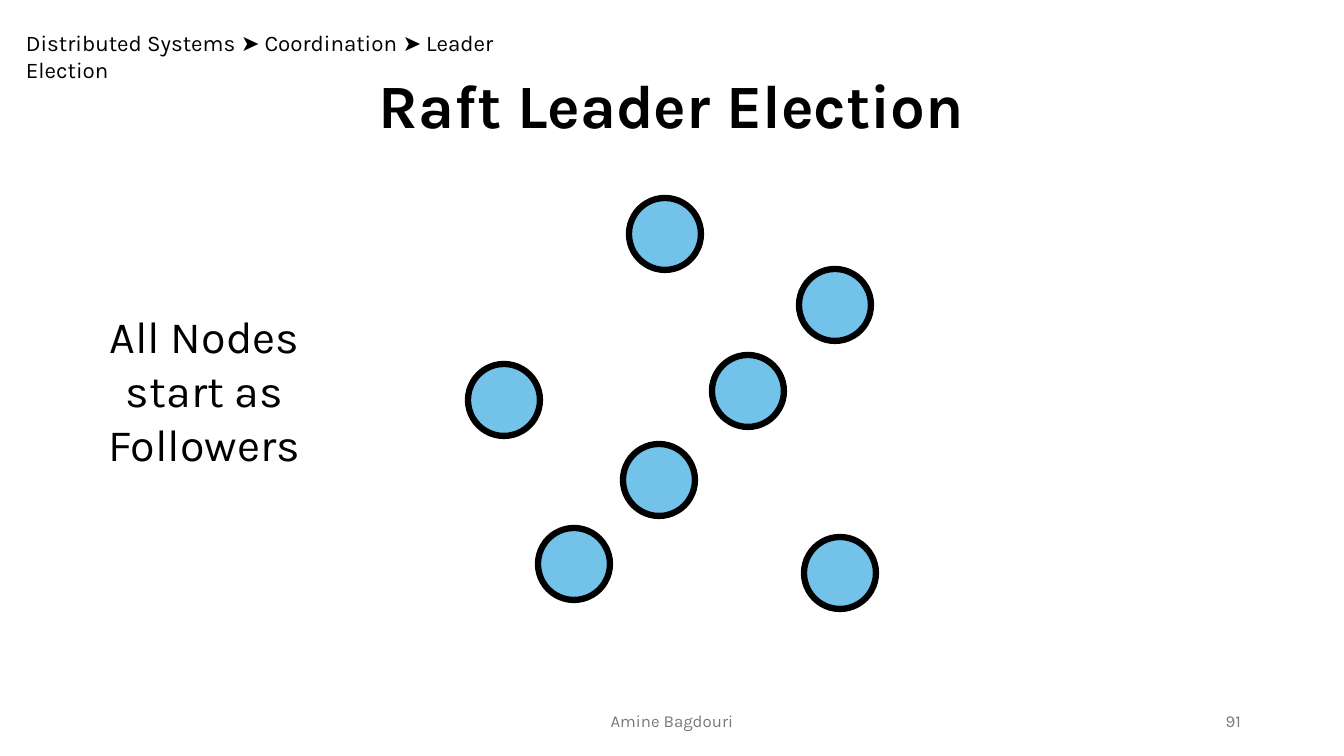
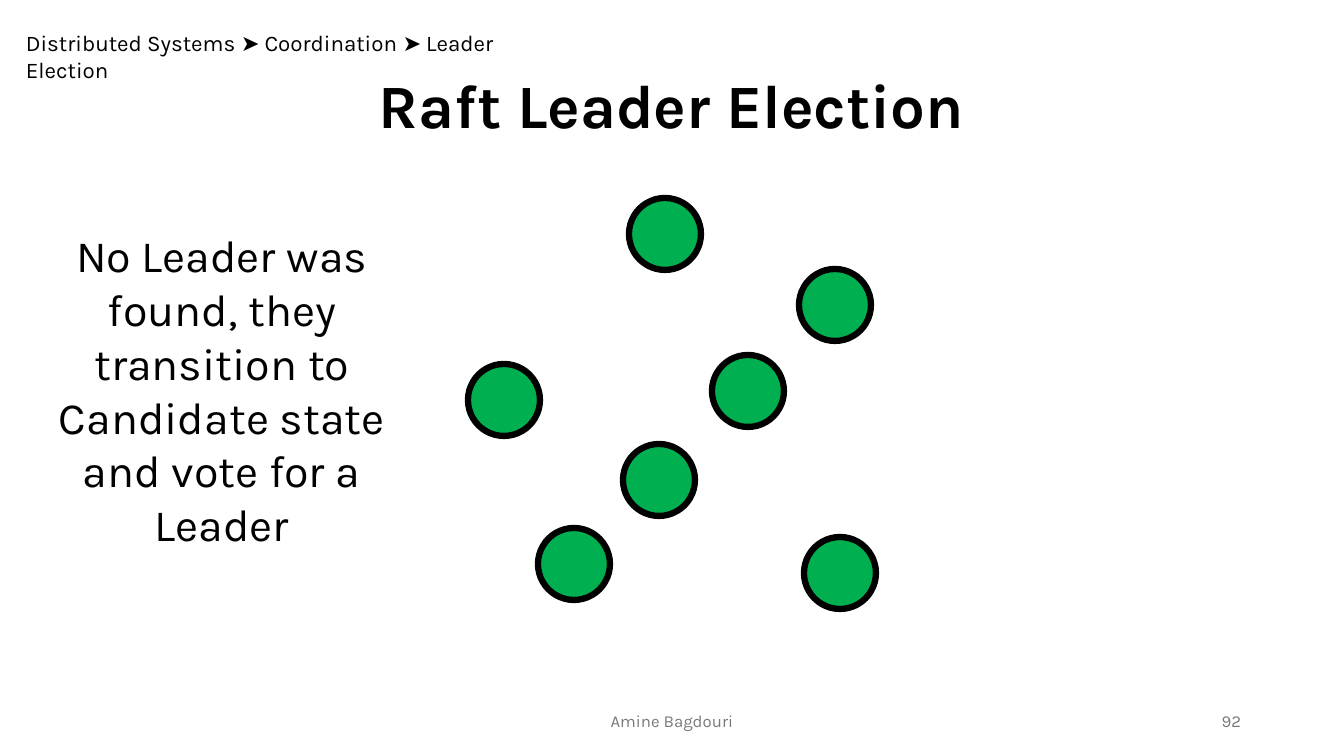
import dataclasses

import pptx
import pptx.util
import pptx.dml.color
import pptx.enum.shapes
import pptx.enum.text

WIDTH, HEIGHT = 1344, 756
SCALE = 914400 / 100.8  # EMU in one px
ALIGN = pptx.enum.text.PP_ALIGN
ANCHOR = pptx.enum.text.MSO_ANCHOR


@dataclasses.dataclass(frozen=True)
class Theme:
    font: str = "Karla"
    ink: str = "000000"
    muted: str = "797979"
    paper: str = "FFFFFF"
    follow: str = "72C2E9"
    vote: str = "00B050"
    title: int = 44
    body: int = 32
    trail: int = 16
    foot: int = 12
    edge: float = 4.5


THEME = Theme()

# Node offsets inside the cluster box
NODES = [(331, 71), (244, 157), (70, 330), (161, 0),
         (0, 166), (336, 339), (155, 246)]
NODE = 72

# Number, node fill, message, message box
SLIDES = [
    (91, THEME.follow, "All Nodes start as Followers", (94, 304, 221, 173)),
    (92, THEME.vote,
     "No Leader was found, they transition to Candidate state and vote for a Leader",
     (46, 223, 352, 336)),
]


def px(size):
    return pptx.util.Emu(round(size * SCALE))


def rgb(code):
    return pptx.dml.color.RGBColor.from_string(code)


def write(shape, text, size, color=THEME.ink, bold=False,
          align=ALIGN.LEFT, anchor=ANCHOR.TOP):
    frame = shape.text_frame
    frame.word_wrap = True
    frame.auto_size = pptx.enum.text.MSO_AUTO_SIZE.NONE
    frame.vertical_anchor = anchor
    para = frame.paragraphs[0]
    para.alignment = align
    run = para.add_run()
    run.text = text
    font = run.font
    font.name, font.size, font.bold = THEME.font, pptx.util.Pt(size), bold
    font.color.rgb = rgb(color)


def label(slide, box, text, size, **style):
    shape = slide.shapes.add_textbox(*map(px, box))
    write(shape, text, size, **style)


def header(slide, box):
    left, top, width, _ = box
    title = slide.shapes.title
    title.left, title.top = px(left), px(top + 62)
    title.width, title.height = px(width), px(85)
    write(title, "Raft Leader Election", THEME.title, bold=True,
          align=ALIGN.CENTER)
    label(slide, (left + 16, top + 24, 561, 37),
          "Distributed Systems ➤ Coordination ➤ Leader Election", THEME.trail)


def footer(slide, box, number):
    left, top, _, height = box
    style = dict(color=THEME.muted, anchor=ANCHOR.MIDDLE)
    label(slide, (left + 445, top, 454, height), "Amine Bagdouri",
          THEME.foot, align=ALIGN.CENTER, **style)
    label(slide, (left + 949, top, 302, height), str(number),
          THEME.foot, align=ALIGN.RIGHT, **style)


def cluster(slide, box, fill):
    left, top = box[:2]
    group = slide.shapes.add_group_shape()
    for x, y in NODES:
        node = group.shapes.add_shape(
            pptx.enum.shapes.MSO_SHAPE.OVAL,
            px(left + x), px(top + y), px(NODE), px(NODE))
        node.shadow.inherit = False
        node.fill.solid()
        node.fill.fore_color.rgb = rgb(fill)
        node.line.color.rgb = rgb(THEME.ink)
        node.line.width = pptx.util.Pt(THEME.edge)


def stage(deck, number, fill, message, box):
    slide = deck.slides.add_slide(deck.slide_layouts[5])
    header(slide, (0, 0, WIDTH, 147))
    footer(slide, (0, 701, WIDTH, 40), number)
    cluster(slide, (468, 198, 408, 411), fill)
    label(slide, box, message, THEME.body, align=ALIGN.CENTER)


def main():
    deck = pptx.Presentation()
    deck.slide_width, deck.slide_height = px(WIDTH), px(HEIGHT)
    # Shared background
    paper = deck.slide_master.background.fill
    paper.solid()
    paper.fore_color.rgb = rgb(THEME.paper)
    for row in SLIDES:
        stage(deck, *row)
    deck.save("out.pptx")


if __name__ == "__main__":
    main()
